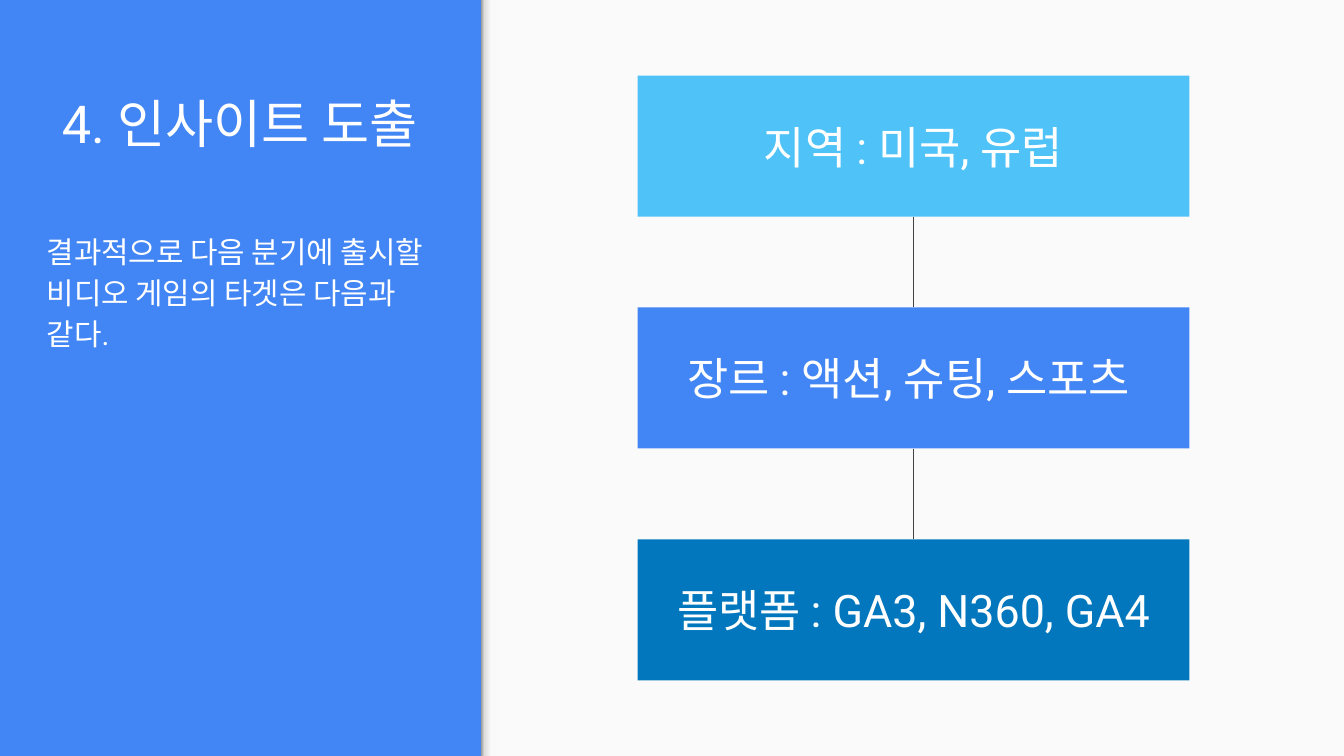
from lxml import etree
from pptx import Presentation
from pptx.dml.color import RGBColor
from pptx.enum.shapes import MSO_CONNECTOR, MSO_SHAPE
from pptx.enum.text import MSO_ANCHOR, MSO_AUTO_SIZE, PP_ALIGN
from pptx.oxml.ns import qn
from pptx.util import Pt

RECT = MSO_SHAPE.RECTANGLE
LINE = MSO_CONNECTOR.STRAIGHT
MIDDLE, TOP = MSO_ANCHOR.MIDDLE, MSO_ANCHOR.TOP
CENTER, LEFT = PP_ALIGN.CENTER, PP_ALIGN.LEFT

TITLE = "4. 인사이트 도출"
BODY = "결과적으로 다음 분기에 출시할 비디오 게임의 타겟은 다음과 같다."
BOXES = [
    ("지역 : 미국, 유럽", "sky"),
    ("장르 : 액션, 슈팅, 스포츠 ", "blue"),
    ("플랫폼 : GA3, N360, GA4", "navy"),
]
COLORS = {
    "blue": "4285F4", "sky": "4FC3F7", "navy": "0277BD",
    "panel": "FAFAFA", "white": "FFFFFF", "line": "424242",
}
SHADE = [(0, "999999"), (20, "DEDEDE"), (64, "F9F9F9"), (100, "F9F9F9")]
FONT = "Roboto"

WIDTH, HEIGHT = 720, 405
SPLIT = 257.8
SIDE_X, SIDE_W = 18, 221
BOX_X, BOX_Y, BOX_W, BOX_H, STEP = 341.6, 40.5, 295.6, 75.6, 124.2


def color(name):
    return RGBColor.from_string(COLORS[name])


def write(shape, text, size, anchor=MIDDLE, align=CENTER):
    frame = shape.text_frame
    frame.word_wrap = True
    frame.auto_size = MSO_AUTO_SIZE.NONE
    frame.vertical_anchor = anchor
    frame.margin_left = frame.margin_right = Pt(7.2)
    frame.margin_top = frame.margin_bottom = Pt(7.2)
    para = frame.paragraphs[0]
    para.alignment = align
    run = para.add_run()
    run.text = text
    run.font.size = Pt(size)
    run.font.name = FONT
    run.font.color.rgb = color("white")
    return para


def add_rect(slide, x, y, w, h, fill=None):
    shape = slide.shapes.add_shape(RECT, Pt(x), Pt(y), Pt(w), Pt(h))
    shape.shadow.inherit = False
    shape.line.fill.background()
    if fill:
        shape.fill.solid()
        shape.fill.fore_color.rgb = color(fill)
    return shape


def shade(shape):
    """Fill the shape with the SHADE stops, from left to right."""
    shape.fill.gradient()
    shape.fill.gradient_angle = 0
    stops = next(shape.element.iter(qn("a:gsLst")))
    for stop in list(stops):
        stops.remove(stop)
    for pos, value in SHADE:
        stop = etree.SubElement(stops, qn("a:gs"), pos=str(pos * 1000))
        etree.SubElement(stop, qn("a:srgbClr"), val=value)


def link(slide, upper, lower):
    line = slide.shapes.add_connector(LINE, 0, 0, 0, 0)
    line.begin_connect(upper, 2)
    line.end_connect(lower, 0)
    line.line.color.rgb = color("line")
    line.line.width = Pt(0.75)
    etree.SubElement(line.element.spPr, qn("a:effectLst"))


def main():
    deck = Presentation()
    deck.slide_width, deck.slide_height = Pt(WIDTH), Pt(HEIGHT)
    slide = deck.slides.add_slide(deck.slide_layouts[5])
    back = slide.background.fill
    back.solid()
    back.fore_color.rgb = color("blue")

    add_rect(slide, SPLIT, 0, WIDTH - SPLIT, HEIGHT, "panel")
    shade(add_rect(slide, SPLIT, 0, 8.6, HEIGHT))

    title = slide.shapes.title
    title.left, title.top = Pt(SIDE_X), Pt(28)
    title.width, title.height = Pt(SIDE_W), Pt(75)
    write(title, TITLE, 28)

    body = slide.shapes.add_textbox(Pt(SIDE_X), Pt(115.2), Pt(SIDE_W), Pt(249))
    para = write(body, BODY, 16, TOP, LEFT)
    para.line_spacing = 1.15
    para.space_after = Pt(16)

    boxes = []
    for i, (text, fill) in enumerate(BOXES):
        box = add_rect(slide, BOX_X, BOX_Y + i * STEP, BOX_W, BOX_H, fill)
        write(box, text, 24)
        boxes.append(box)
    for upper, lower in zip(boxes, boxes[1:]):
        link(slide, upper, lower)

    deck.save("out.pptx")


if __name__ == "__main__":
    main()
